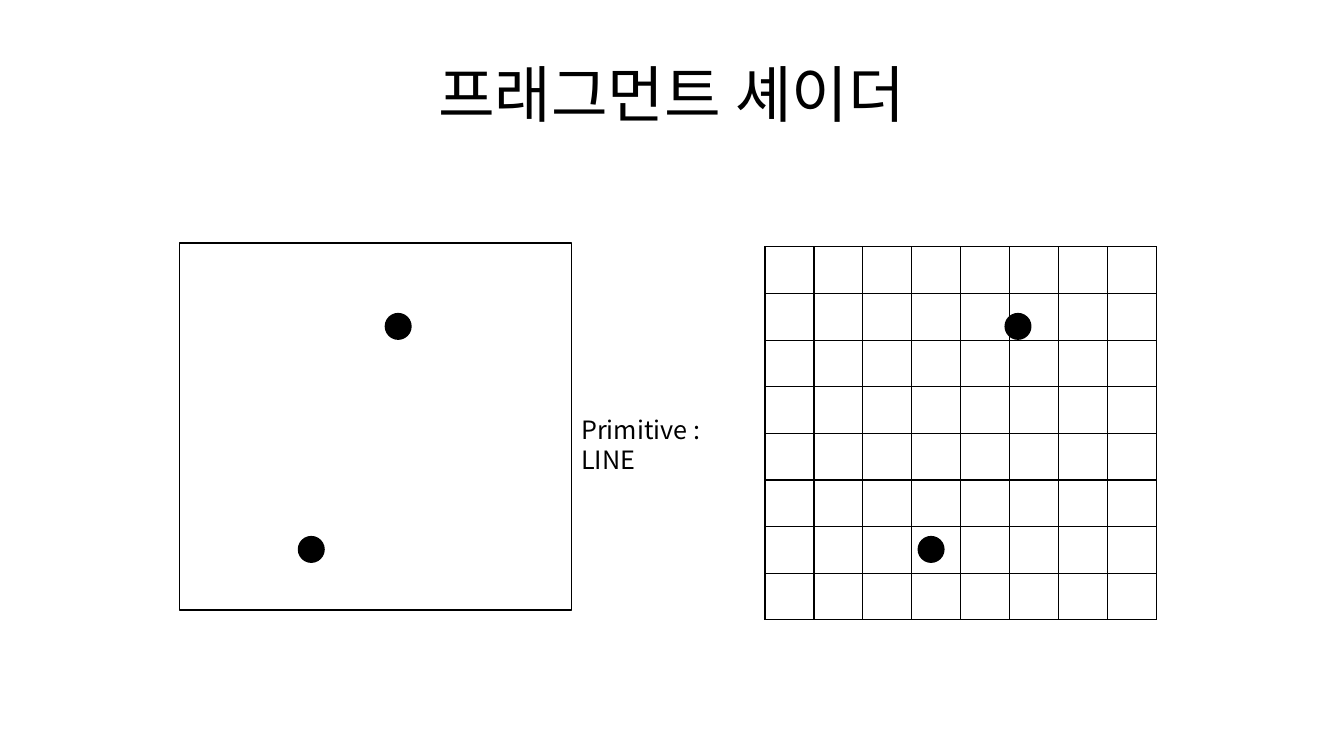
from lxml import etree
from pptx import Presentation
from pptx import util as u
from pptx.dml.color import RGBColor
from pptx.enum import shapes, text
from pptx.oxml import ns

# Content
TITLE = "프래그먼트 셰이더"
LABEL = "Primitive : LINE"
FONT = "Noto Sans CJK KR"
COLORS = {"ink": "000000"}

# Geometry in centimetres
FRAME = (4.52, 6.12, 9.88, 9.25)
GRID = (19.28, 6.22, 9.86, 9.4)
GRID_COUNT = 8
DOT_SIZE = 0.61
DOTS = [(7.54, 13.54), (9.73, 7.92)]
PANEL_SHIFT = 15.62  # from the dots in the frame to those on the grid


def ink():
    return RGBColor.from_string(COLORS["ink"])


def place(left, top, width, height):
    return [u.Cm(value) for value in (left, top, width, height)]


def add_text(slide, words, area, size, align, anchor):
    box = slide.shapes.add_textbox(*place(*area))
    frame = box.text_frame
    frame.word_wrap = True
    frame.vertical_anchor = anchor
    para = frame.paragraphs[0]
    para.alignment = align
    span = para.add_run()
    span.text = words
    span.font.size = u.Pt(size)
    span.font.name = FONT
    span.font.color.rgb = ink()
    # Hangul takes the East Asian typeface
    east = etree.SubElement(span.font._element, ns.qn("a:ea"))
    east.set("typeface", FONT)
    return frame


def add_outlined(slide, kind, area, weight, filled):
    shape = slide.shapes.add_shape(kind, *place(*area))
    shape.shadow.inherit = False
    if filled:
        shape.fill.solid()
        shape.fill.fore_color.rgb = ink()
    else:
        shape.fill.background()
    shape.line.color.rgb = ink()
    shape.line.width = u.Pt(weight)


def set_borders(cell):
    properties = cell._tc.get_or_add_tcPr()
    for position, side in enumerate(("lnL", "lnR", "lnT", "lnB")):
        line = etree.Element(ns.qn(f"a:{side}"), w=str(u.Pt(1)))
        fill = etree.SubElement(line, ns.qn("a:solidFill"))
        etree.SubElement(fill, ns.qn("a:srgbClr"), val=COLORS["ink"])
        properties.insert(position, line)


def add_grid(slide):
    table = slide.shapes.add_table(GRID_COUNT, GRID_COUNT, *place(*GRID)).table
    table.first_row = False
    table.horz_banding = False
    for cell in table.iter_cells():
        cell.fill.background()
        set_borders(cell)


def main():
    deck = Presentation()
    deck.slide_width, deck.slide_height = u.Cm(33.87), u.Cm(19.05)
    page = deck.slides.add_slide(deck.slide_layouts[6])

    # Pixel grid
    add_grid(page)

    # Title and label
    add_text(page, TITLE, (1.69, 0.76, 30.48, 3.18), 44,
             text.PP_ALIGN.CENTER, text.MSO_ANCHOR.MIDDLE)
    label = add_text(page, LABEL, (14.4, 10.31, 4.93, 1.02), 18,
                     text.PP_ALIGN.LEFT, text.MSO_ANCHOR.TOP)
    label.auto_size = text.MSO_AUTO_SIZE.SHAPE_TO_FIT_TEXT

    # The same two points in the frame and on the grid
    for shift in (0, PANEL_SHIFT):
        for left, top in DOTS:
            add_outlined(page, shapes.MSO_SHAPE.OVAL,
                         (left + shift, top, DOT_SIZE, DOT_SIZE), 2, True)

    # Empty frame
    add_outlined(page, shapes.MSO_SHAPE.RECTANGLE, FRAME, 1, False)

    deck.save("out.pptx")


if __name__ == "__main__":
    main()
